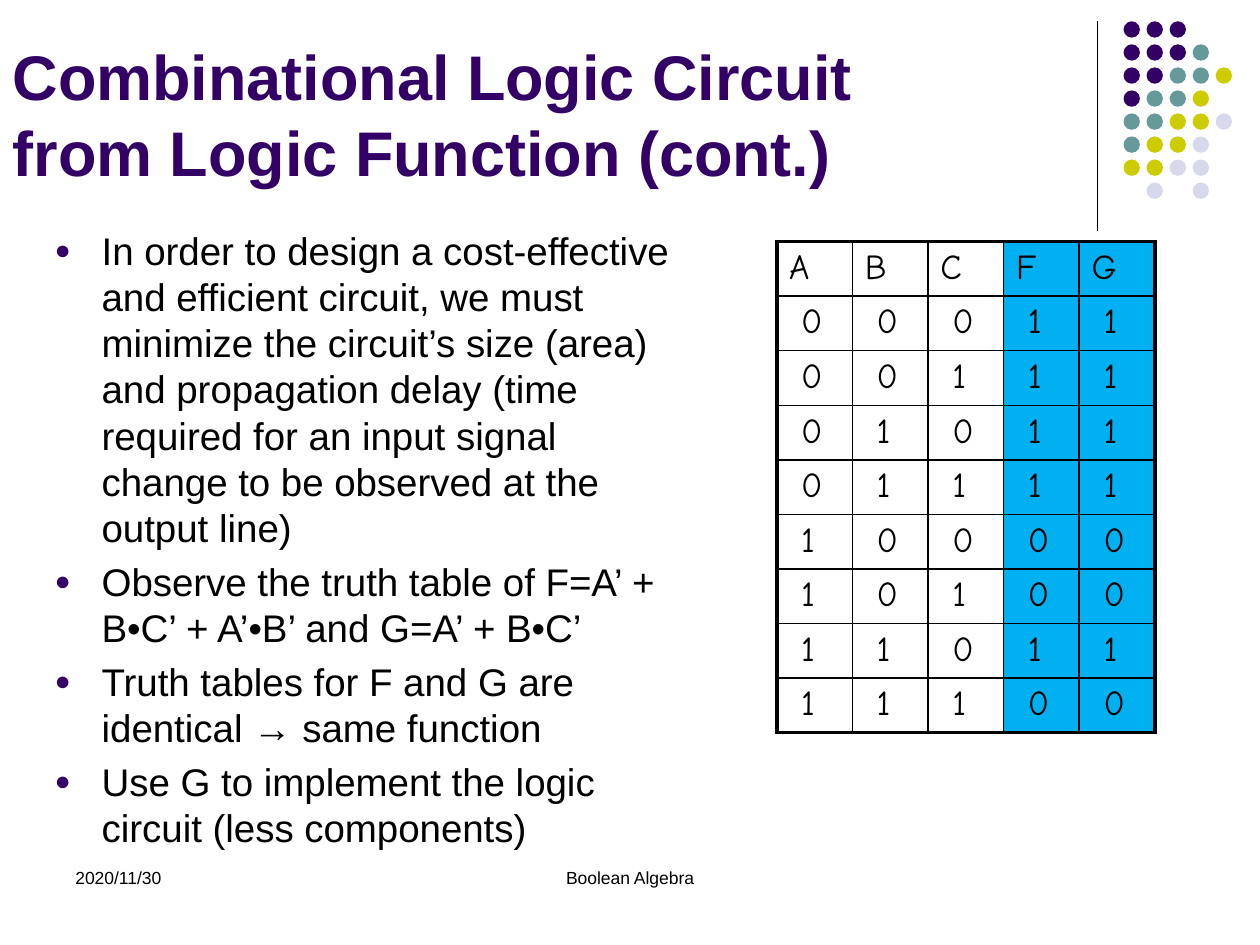
from lxml import etree
from pptx import Presentation
from pptx.dml.color import RGBColor
from pptx.enum.shapes import MSO_CONNECTOR, MSO_SHAPE
from pptx.enum.text import MSO_ANCHOR, MSO_AUTO_SIZE, PP_ALIGN
from pptx.oxml import parse_xml
from pptx.oxml.ns import qn
from pptx.util import Cm, Pt

STRAIGHT = MSO_CONNECTOR.STRAIGHT
OVAL = MSO_SHAPE.OVAL
TOP, BOTTOM = MSO_ANCHOR.TOP, MSO_ANCHOR.BOTTOM
NO_AUTOFIT = MSO_AUTO_SIZE.NONE
LEFT, CENTER = PP_ALIGN.LEFT, PP_ALIGN.CENTER

BLACK = RGBColor(0x00, 0x00, 0x00)
PURPLE = RGBColor(0x33, 0x00, 0x66)
TEAL = RGBColor(0x66, 0x99, 0x99)
OLIVE = RGBColor(0xCC, 0xCC, 0x00)
LAVENDER = RGBColor(0xD8, 0xD8, 0xEC)
OUTPUT_BLUE = RGBColor(0x00, 0xB0, 0xF0)

DOT_COLORS = {"P": PURPLE, "T": TEAL, "O": OLIVE, "L": LAVENDER}
DOT_ROWS = ["PPP", "PPPT", "PPTTO", "PTTO", "TTOOL", "TOOL", "OOLL", " L L"]
BULLETS = [
    "In order to design a cost-effective and efficient circuit, we must "
    "minimize the circuit’s size (area) and propagation delay (time required "
    "for an input signal change to be observed at the output line)",
    "Observe the truth table of F=A’ + B•C’ + A’•B’ and G=A’ + B•C’",
    "Truth tables for F and G are identical → same function",
    "Use G to implement the logic circuit (less components)",
]
TRUTH_ROWS = ["ABCFG", "00011", "00111", "01011", "01111",
              "10000", "10100", "11011", "11100"]
INPUT_COUNT = 3


def format_paragraph(paragraph, size, color=BLACK, name="Arial", align=LEFT):
    """Set the font and alignment of a whole paragraph."""
    paragraph.alignment = align
    paragraph.font.size = Pt(size)
    paragraph.font.name = name
    paragraph.font.color.rgb = color


def add_title(slide, left, top, width, height):
    """Place and format the title placeholder."""
    title = slide.shapes.title
    title.left, title.top, title.width, title.height = left, top, width, height
    frame = title.text_frame
    frame.text = "Combinational Logic Circuit\vfrom Logic Function (cont.)"
    frame.auto_size = NO_AUTOFIT
    frame.vertical_anchor = BOTTOM
    paragraph = frame.paragraphs[0]
    format_paragraph(paragraph, 36, PURPLE)
    paragraph.font.bold = True


def add_corner_ornament(slide, left, top, height):
    """Draw the vertical rule and the dot pattern to its right."""
    rule = slide.shapes.add_connector(STRAIGHT, left, top, left, top + height)
    rule.line.color.rgb = BLACK
    rule.line.width = Pt(0.75)
    etree.SubElement(rule._element.spPr, qn("a:effectLst"))
    pitch, diameter = Cm(3.25) / 7, Cm(0.33)
    for row, codes in enumerate(DOT_ROWS):
        for column, code in enumerate(codes):
            if code == " ":
                continue
            dot = slide.shapes.add_shape(
                OVAL, int(left + Cm(0.53) + column * pitch),
                int(top + row * pitch), diameter, diameter)
            dot.shadow.inherit = False
            dot.fill.solid()
            dot.fill.fore_color.rgb = DOT_COLORS[code]
            dot.line.fill.background()


def add_text_frame(slide, left, top, width, height):
    """Add a wrapping text box and return its text frame."""
    frame = slide.shapes.add_textbox(left, top, width, height).text_frame
    frame.word_wrap = True
    frame.auto_size = NO_AUTOFIT
    frame.vertical_anchor = TOP
    return frame


def add_bullet(paragraph):
    """Give a paragraph a hanging round bullet."""
    properties = paragraph._p.get_or_add_pPr()
    properties.set("marL", str(Cm(0.95)))
    properties.set("indent", str(-Cm(0.95)))
    color = etree.SubElement(properties, qn("a:buClr"))
    etree.SubElement(color, qn("a:srgbClr"), val=str(PURPLE))
    etree.SubElement(properties, qn("a:buSzPct"), val="70000")
    etree.SubElement(properties, qn("a:buFont"), typeface="Arial")
    etree.SubElement(properties, qn("a:buChar"), char="●")


def add_body(slide, left, top, width, height):
    """Write the bulleted list."""
    frame = add_text_frame(slide, left, top, width, height)
    for index, text in enumerate(BULLETS):
        paragraph = frame.add_paragraph() if index else frame.paragraphs[0]
        paragraph.text = text
        paragraph.space_before = Pt(4.4)
        add_bullet(paragraph)
        format_paragraph(paragraph, 22)


def set_border(cell, side, width):
    """Add one black border to a cell."""
    cell._tc.get_or_add_tcPr().append(parse_xml(
        '<a:%s xmlns:a="http://schemas.openxmlformats.org/drawingml/2006/main"'
        ' w="%d"><a:solidFill><a:srgbClr val="%s"/></a:solidFill></a:%s>'
        % (side, Pt(width), BLACK, side)))


def add_truth_table(slide, left, top, width, height):
    """Build the truth table with shaded output columns."""
    row_count, column_count = len(TRUTH_ROWS), len(TRUTH_ROWS[0])
    table = slide.shapes.add_table(
        row_count, column_count, left, top, width, height).table
    table.first_row = table.horz_banding = False
    for row, values in enumerate(TRUTH_ROWS):
        for column, value in enumerate(values):
            cell = table.cell(row, column)
            cell.text = value
            cell.margin_left = Cm(0.49 if row else 0.25)
            paragraph = cell.text_frame.paragraphs[0]
            paragraph.space_before = Pt(4)
            format_paragraph(paragraph, 20, name="Comic Neue")
            outer_sides = {"lnL": column == 0, "lnR": column == column_count - 1,
                           "lnT": row == 0, "lnB": row == row_count - 1}
            for side, is_outer in outer_sides.items():
                set_border(cell, side, 2.25 if is_outer else 1)
            if column < INPUT_COUNT:
                cell.fill.background()
            else:
                cell.fill.solid()
                cell.fill.fore_color.rgb = OUTPUT_BLUE


def add_footer(slide, left, top, height):
    """Write the date and the centred footer text."""
    for text, offset, width, align in [
            ("2020/11/30", 0, 5.93, LEFT),
            ("Boolean Algebra", 7.41, 8.04, CENTER)]:
        frame = add_text_frame(slide, left + Cm(offset), top, Cm(width), height)
        frame.text = text
        format_paragraph(frame.paragraphs[0], 10, align=align)


def main():
    """Build and save the slide."""
    presentation = Presentation()
    presentation.slide_width, presentation.slide_height = Cm(25.4), Cm(19.05)
    slide = presentation.slides.add_slide(presentation.slide_layouts[5])
    add_corner_ornament(slide, Cm(22.12), Cm(0.43), Cm(4.22))
    add_title(slide, Cm(0), Cm(0.76), Cm(25.4), Cm(3.18))
    add_body(slide, Cm(0.85), Cm(4.45), Cm(13.34), Cm(12.57))
    add_truth_table(slide, Cm(15.66), Cm(4.87), Cm(7.62), Cm(9.9))
    add_footer(slide, Cm(1.27), Cm(17.36), Cm(1.27))
    presentation.save("out.pptx")


main()
